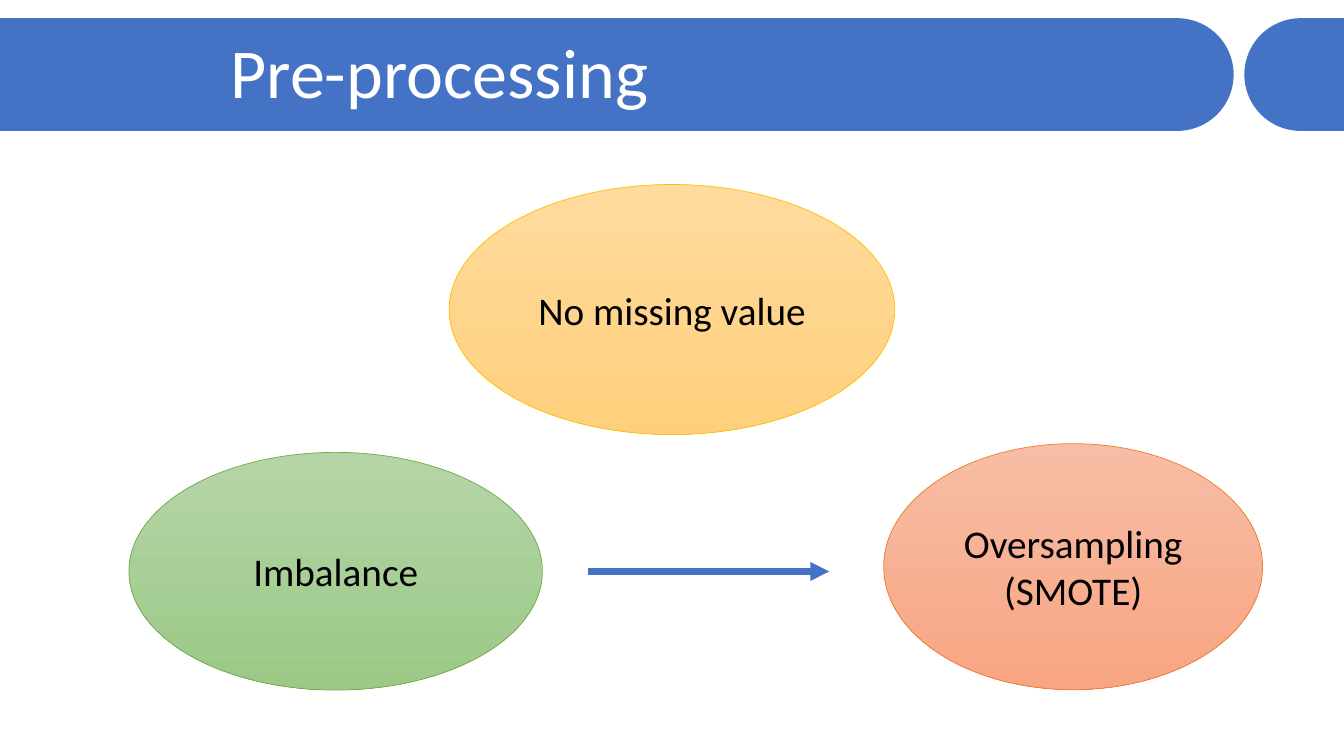
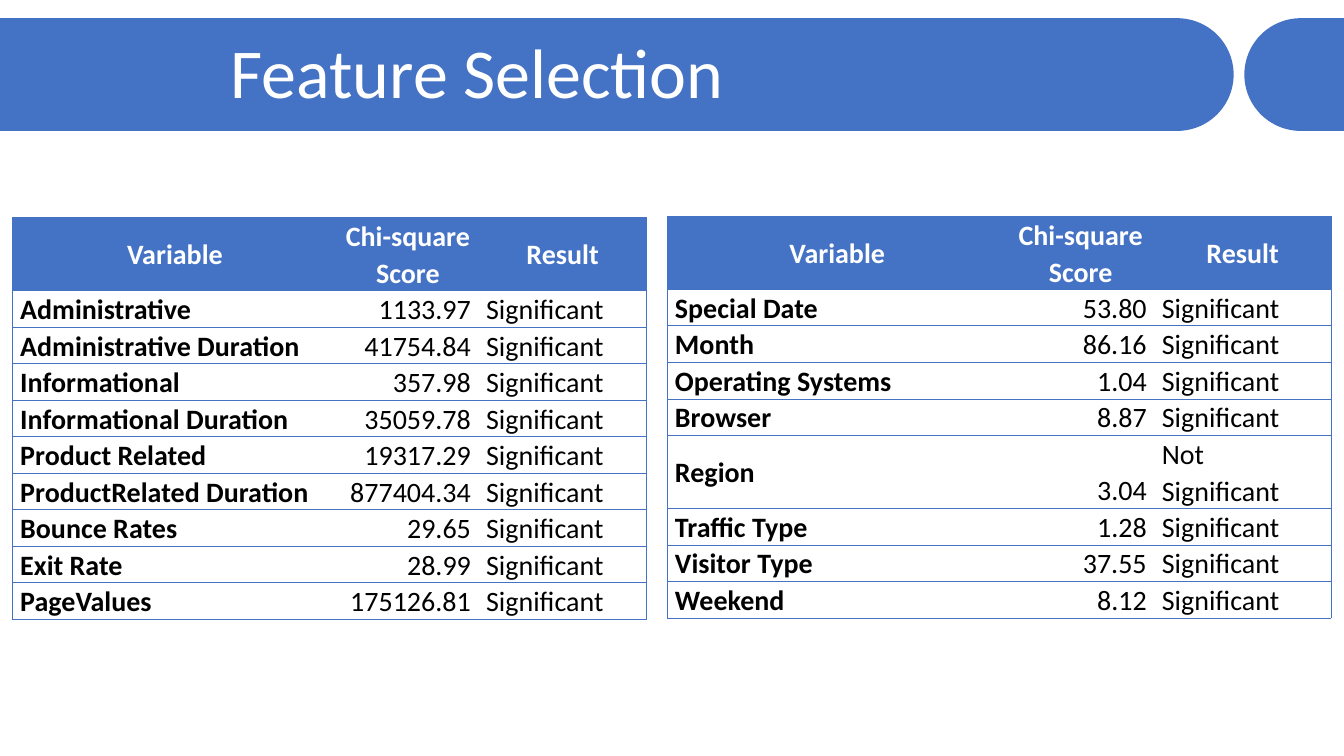
import math
from dataclasses import dataclass

from lxml import etree
from pptx import Presentation
from pptx import util as u
from pptx.dml.color import RGBColor
from pptx.enum import shapes, text
from pptx.oxml import ns
from pptx.util import Cm

FONT = "Calibri"
COLORS = {
    "blue": "4472C4", "white": "FFFFFF", "black": "000000",
    "gold": "FFC000", "gold_top": "FFDB9E", "gold_bottom": "FFD07C",
    "green": "70AD47", "green_top": "B5D5A7", "green_bottom": "9CC987",
    "orange": "ED7D31", "orange_top": "F7BDA5", "orange_bottom": "F8A582",
}
SLIDE_W, SLIDE_H = 33.87, 19.05
BAND_TOP, BAND_BOTTOM = 0.46, 3.3
NO_STYLE_TABLE = "{2D5ABB26-0587-4C30-8999-92F81FD0307C}"


@dataclass(frozen=True)
class Bubble:
    label: str
    left: float
    top: float
    width: float
    height: float
    color: str


@dataclass(frozen=True)
class ScoreTable:
    left: float
    top: float
    widths: tuple[float, ...]
    scores: dict[str, str]


BUBBLES = [
    Bubble("No missing value", 11.32, 4.65, 11.23, 6.3, "gold"),
    Bubble("Imbalance", 3.25, 11.4, 10.42, 5.99, "green"),
    Bubble("Oversampling (SMOTE)", 22.27, 11.18, 9.55, 6.2, "orange"),
]
NOT_SIGNIFICANT = {"Region"}
SCORE_TABLES = [
    ScoreTable(0.32, 5.48, (8.18, 3.56, 4.24), {
        "Administrative": "1133.97",
        "Administrative Duration": "41754.84",
        "Informational": "357.98",
        "Informational Duration": "35059.78",
        "Product Related": "19317.29",
        "ProductRelated Duration": "877404.34",
        "Bounce Rates": "29.65",
        "Exit Rate": "28.99",
        "PageValues": "175126.81",
    }),
    ScoreTable(16.82, 5.45, (8.56, 3.71, 4.45), {
        "Special Date": "53.80",
        "Month": "86.16",
        "Operating Systems": "1.04",
        "Browser": "8.87",
        "Region": "3.04",
        "Traffic Type": "1.28",
        "Visitor Type": "37.55",
        "Weekend": "8.12",
    }),
]


def rgb(name: str) -> RGBColor:
    return RGBColor.from_string(COLORS[name])


def write(tf, content: str, *, size: float, color: str = "black", bold: bool = False,
          align=text.PP_ALIGN.LEFT, spacing: float = 1.0) -> None:
    tf.word_wrap = True
    p = tf.paragraphs[0]
    p.alignment, p.line_spacing = align, spacing
    r = p.add_run()
    r.text = content
    r.font.name, r.font.size, r.font.bold = FONT, u.Pt(size), bold
    r.font.color.rgb = rgb(color)


def add_band(s, flat_x: float, round_x: float) -> None:
    """Draw a band with a straight edge at flat_x and a half circle at round_x."""
    radius = (BAND_BOTTOM - BAND_TOP) / 2
    side = 1 if round_x > flat_x else -1
    center_x, center_y = round_x - side * radius, BAND_TOP + radius
    angles = [math.radians(a) for a in range(-90, 91, 3)]
    arc = [(Cm(center_x + side * radius * math.cos(a)), Cm(center_y + radius * math.sin(a)))
           for a in angles]
    builder = s.shapes.build_freeform(Cm(flat_x), Cm(BAND_TOP))
    builder.add_line_segments([*arc, (Cm(flat_x), Cm(BAND_BOTTOM))])
    sp = builder.convert_to_shape()
    sp.shadow.inherit = False
    sp.fill.solid()
    sp.fill.fore_color.rgb = rgb("blue")
    sp.line.fill.background()


def add_titled_slide(prs, title: str):
    s = prs.slides.add_slide(prs.slide_layouts[6])
    add_band(s, 0, 31.09)
    add_band(s, SLIDE_W, 31.36)
    tf = s.shapes.add_textbox(Cm(5.56), Cm(0.97), Cm(27.15), Cm(2)).text_frame
    tf.vertical_anchor = text.MSO_ANCHOR.MIDDLE
    write(tf, title, size=50, color="white", spacing=0.8)
    return s


def add_bubble(s, bubble: Bubble) -> None:
    sp = s.shapes.add_shape(shapes.MSO_SHAPE.OVAL, Cm(bubble.left), Cm(bubble.top),
                            Cm(bubble.width), Cm(bubble.height))
    sp.shadow.inherit = False
    sp.fill.gradient()
    sp.fill.gradient_angle = 270
    for stop, end in zip(sp.fill.gradient_stops, ("top", "bottom")):
        stop.color.rgb = rgb(f"{bubble.color}_{end}")
    sp.line.color.rgb, sp.line.width = rgb(bubble.color), u.Pt(0.5)
    sp.text_frame.vertical_anchor = text.MSO_ANCHOR.MIDDLE
    write(sp.text_frame, bubble.label, size=28, align=text.PP_ALIGN.CENTER)


def add_arrow(s, start_x: float, end_x: float, y: float) -> None:
    arrow = s.shapes.add_connector(shapes.MSO_CONNECTOR.STRAIGHT,
                                   Cm(start_x), Cm(y), Cm(end_x), Cm(y))
    arrow.line.color.rgb, arrow.line.width = rgb("blue"), u.Pt(4.5)
    etree.SubElement(arrow.line._get_or_add_ln(), ns.qn("a:tailEnd"), type="triangle")
    etree.SubElement(arrow._element.spPr, ns.qn("a:effectLst"))


def add_borders(cell, sides: str) -> None:
    """Draw thin blue borders on the given sides, in the order L, R, T, B."""
    tcPr = cell._tc.get_or_add_tcPr()
    for side in sides:
        ln = etree.SubElement(tcPr, ns.qn(f"a:ln{side}"), w=str(u.Pt(0.5)))
        fill = etree.SubElement(ln, ns.qn("a:solidFill"))
        etree.SubElement(fill, ns.qn("a:srgbClr"), val=COLORS["blue"])


def add_score_table(s, score_table: ScoreTable) -> None:
    line_h = 0.92
    header = ("Variable", "Chi-square Score", "Result")
    body = [(name, score, "Not Significant" if name in NOT_SIGNIFICANT else "Significant")
            for name, score in score_table.scores.items()]
    heights = [2 * line_h] + [line_h * (1 + (row[0] in NOT_SIGNIFICANT)) for row in body]
    frame = s.shapes.add_table(len(heights), len(header), Cm(score_table.left),
                               Cm(score_table.top), Cm(sum(score_table.widths)),
                               Cm(sum(heights)))
    table = frame.table
    table.horz_banding = False
    table._tbl.tblPr.find(ns.qn("a:tableStyleId")).text = NO_STYLE_TABLE
    for column, width in zip(table.columns, score_table.widths):
        column.width = Cm(width)
    for row, height in zip(table.rows, heights):
        row.height = Cm(height)

    aligns = (text.PP_ALIGN.JUSTIFY, text.PP_ALIGN.RIGHT, text.PP_ALIGN.JUSTIFY)
    anchors = (text.MSO_ANCHOR.MIDDLE, text.MSO_ANCHOR.BOTTOM, text.MSO_ANCHOR.TOP)
    outer_sides = ("L", "", "R")
    for i, values in enumerate([header, *body]):
        is_header = i == 0
        for j, value in enumerate(values):
            cell = table.cell(i, j)
            cell.margin_left = cell.margin_right = Cm(0.19)
            cell.margin_top = cell.margin_bottom = 0
            cell.vertical_anchor = text.MSO_ANCHOR.MIDDLE if is_header else anchors[j]
            add_borders(cell, outer_sides[j] + "TB")
            cell.fill.solid()
            cell.fill.fore_color.rgb = rgb("blue" if is_header else "white")
            write(cell.text_frame, value, size=20, spacing=1.07,
                  color="white" if is_header else "black",
                  bold=is_header or j == 0,
                  align=text.PP_ALIGN.CENTER if is_header else aligns[j])


def main() -> None:
    prs = Presentation()
    prs.slide_width, prs.slide_height = Cm(SLIDE_W), Cm(SLIDE_H)

    s = add_titled_slide(prs, "Pre-processing")
    for bubble in BUBBLES:
        add_bubble(s, bubble)
    add_arrow(s, 14.83, 20.9, 14.4)

    s = add_titled_slide(prs, "Feature Selection")
    for score_table in SCORE_TABLES:
        add_score_table(s, score_table)

    prs.save("out.pptx")


if __name__ == "__main__":
    main()
